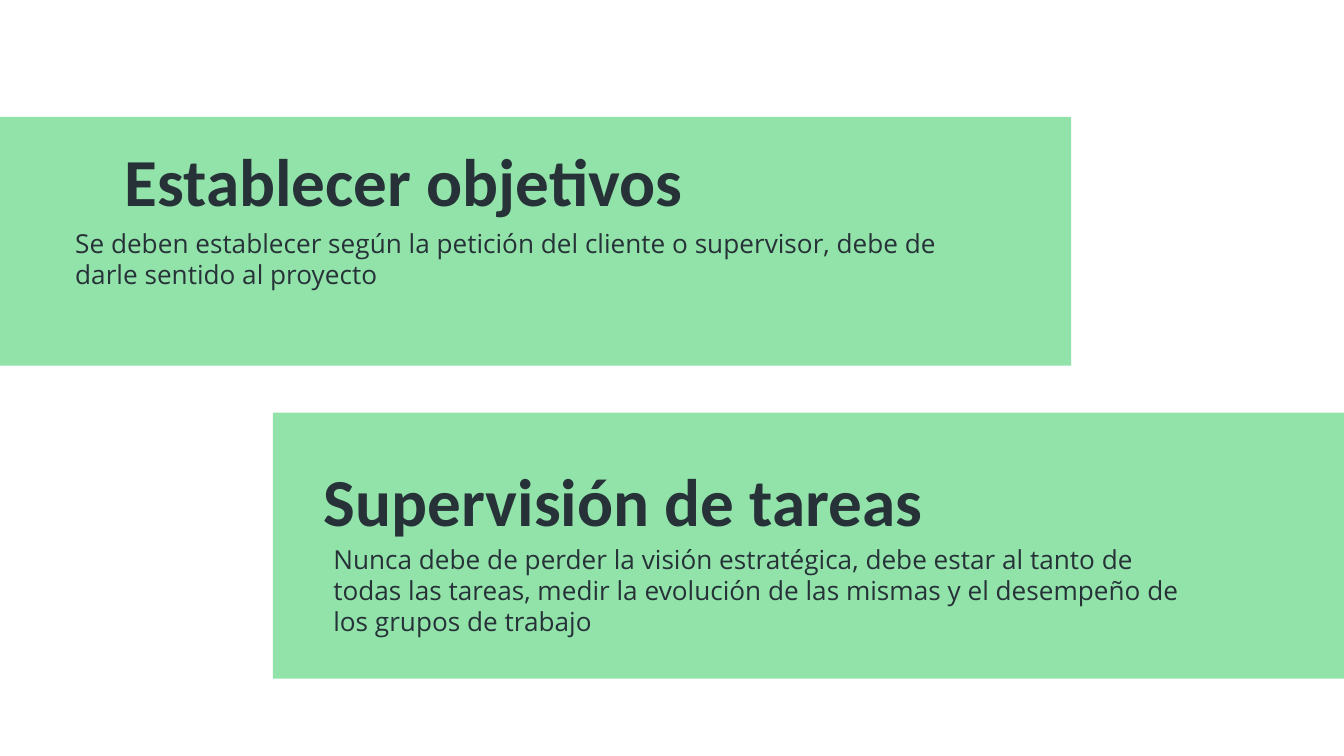
from pptx import Presentation
from pptx.util import Inches, Pt
from pptx.dml.color import RGBColor as RGB
from pptx.enum.shapes import MSO_SHAPE as Shape
from pptx.enum.text import MSO_ANCHOR as Anchor, MSO_AUTO_SIZE as Fit, PP_ALIGN as Align
from pptx.oxml.xmlchemy import OxmlElement as Node

COLORS = {"band": "92E3A9", "text": "263238"}


class Deck:
    head = {"font": "Calibri", "size": 36, "bold": True}
    body = {"font": "Open Sans", "size": 14, "bold": False}
    width = 6.7

    def __init__(self):
        self.prs = Presentation()
        # Widescreen, 16:9
        self.prs.slide_width = Inches(10)
        self.prs.slide_height = Inches(10 * 9 / 16)
        self.slide = self.prs.slides.add_slide(self.prs.slide_layouts[4])
        self.holds = {p.placeholder_format.idx: p for p in self.slide.placeholders}

    def band(self, left, top, height):
        shape = self.slide.shapes.add_shape(
            Shape.ROUNDED_RECTANGLE, Inches(left), Inches(top), Inches(7.97), Inches(height))
        shape.adjustments[0] = 0
        shape.shadow.inherit = False
        shape.fill.solid()
        shape.fill.fore_color.rgb = RGB.from_string(COLORS["band"])
        shape.line.fill.background()
        # Bands lie behind the placeholders
        self.slide.shapes._spTree.insert(2, shape._element)

    def text(self, idx, left, top, height, words, style):
        hold = self.holds.pop(idx)
        hold.left, hold.top = Inches(left), Inches(top)
        hold.width, hold.height = Inches(self.width), Inches(height)
        frame = hold.text_frame
        frame.text = words
        frame.word_wrap = True
        frame.auto_size = Fit.NONE
        frame.vertical_anchor = Anchor.TOP
        frame.margin_left = frame.margin_right = Inches(0.1)
        frame.margin_top = frame.margin_bottom = Inches(0.1)
        para = frame.paragraphs[0]
        para.alignment = Align.LEFT
        para.line_spacing = 1.0
        para.space_before = para.space_after = Pt(0)
        # No bullet, no indent
        props = para._p.get_or_add_pPr()
        props.set("marL", "0")
        props.set("indent", "0")
        props.append(Node("a:buNone"))
        font = para.runs[0].font
        font.name, font.size, font.bold = style["font"], Pt(style["size"]), style["bold"]
        font.color.rgb = RGB.from_string(COLORS["text"])

    def save(self):
        for hold in self.holds.values():
            hold._element.getparent().remove(hold._element)
        self.prs.save("out.pptx")


def main():
    deck = Deck()

    # Green bands
    deck.band(0, 0.87, 1.85)
    deck.band(2.03, 3.07, 1.98)

    # Goals
    deck.text(0, 0.83, 0.94, 0.31, "Establecer objetivos", deck.head)
    deck.text(1, 0.46, 1.59, 0.8,
              "Se deben establecer según la petición del cliente o supervisor, "
              "debe de darle sentido al proyecto", deck.body)

    # Supervision
    deck.text(2, 2.31, 3.32, 0.31, "Supervisión de tareas", deck.head)
    deck.text(3, 2.38, 3.94, 0.8,
              "Nunca debe de perder la visión estratégica, debe estar al tanto de "
              "todas las tareas, medir la evolución de las mismas y el desempeño "
              "de los grupos de trabajo", deck.body)

    deck.save()


if __name__ == "__main__":
    main()
